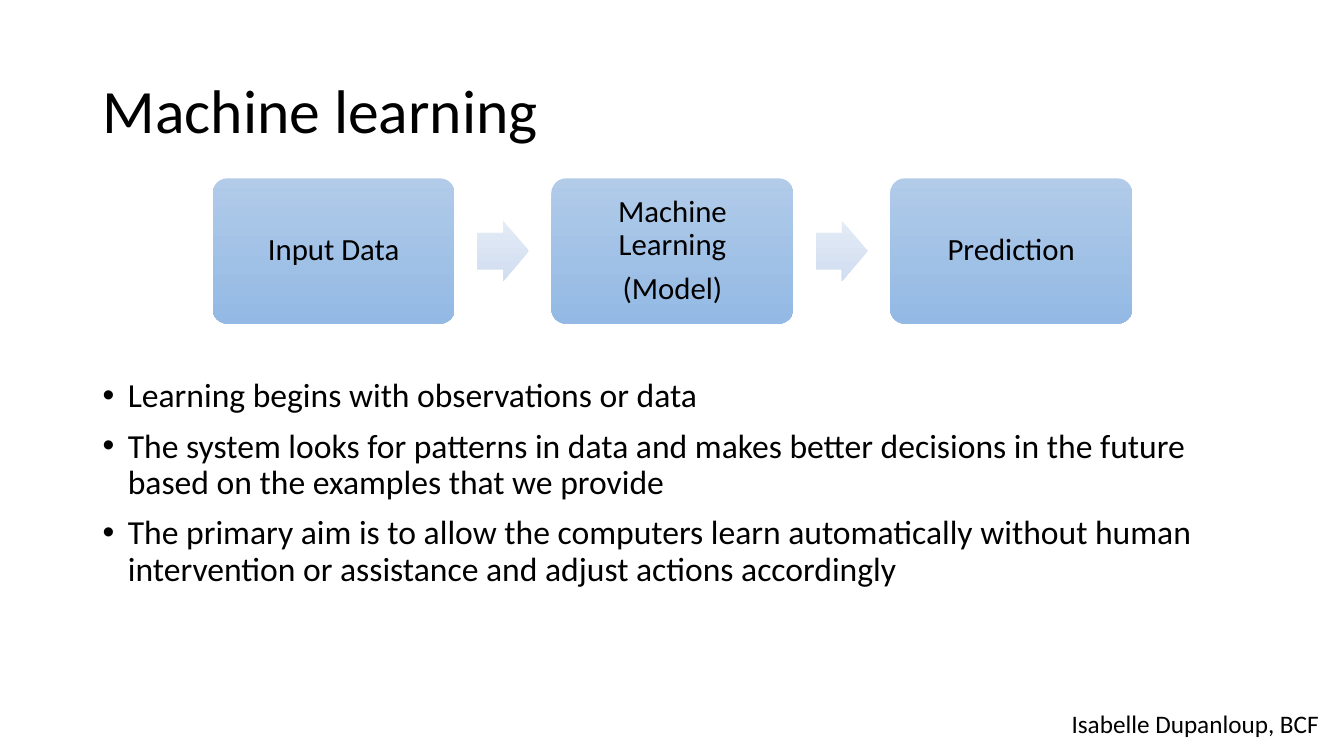
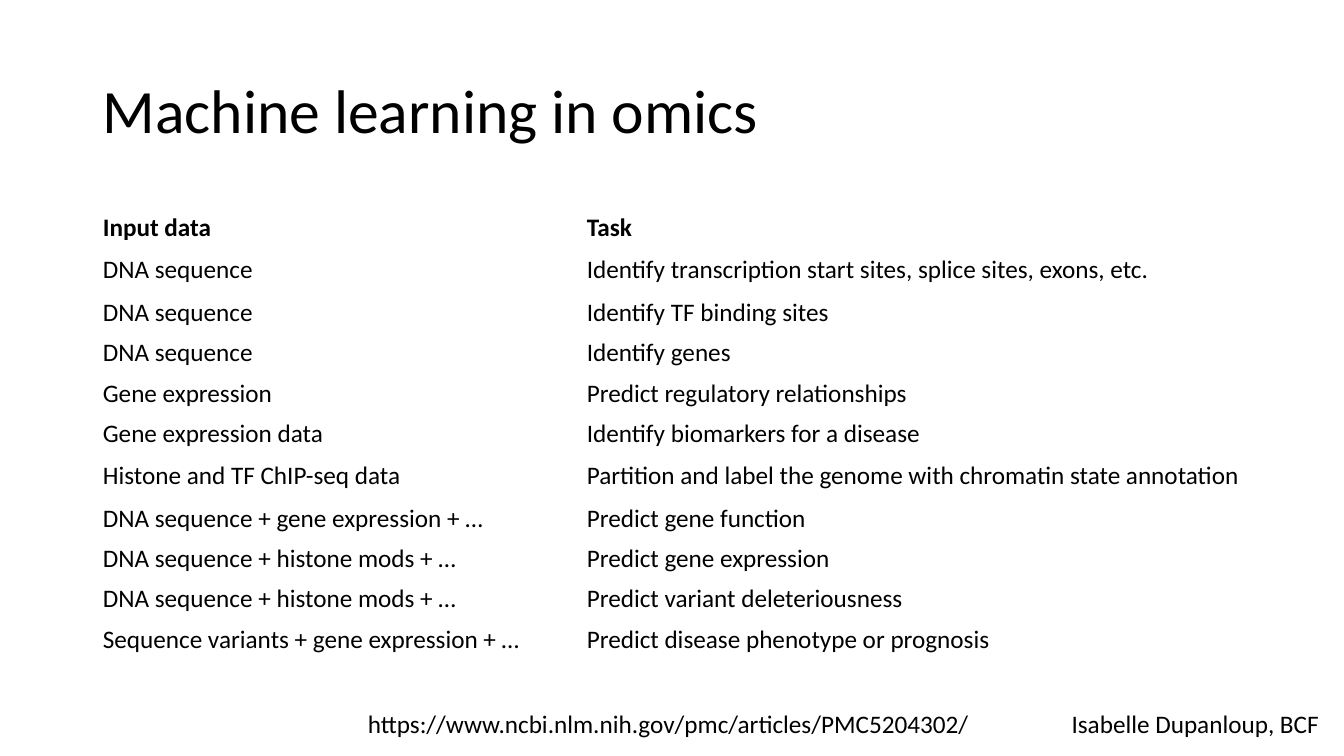
from pptx import Presentation
from pptx.dml.color import RGBColor
from pptx.enum.shapes import MSO_SHAPE
from pptx.enum.text import MSO_ANCHOR, PP_ALIGN
from pptx.oxml import parse_xml
from pptx.oxml.ns import nsdecls
from pptx.util import Inches, Pt

FONT = "Calibri"
BLACK = RGBColor(0x00, 0x00, 0x00)
BOX_TOP, BOX_BOTTOM = RGBColor(0xB1, 0xCB, 0xE9), RGBColor(0x93, 0xB9, 0xE4)
ARROW_TOP, ARROW_BOTTOM = RGBColor(0xE3, 0xEB, 0xF6), RGBColor(0xD0, 0xDE, 0xF1)
ROUND_RECT, RIGHT_ARROW = MSO_SHAPE.ROUNDED_RECTANGLE, MSO_SHAPE.RIGHT_ARROW
LEFT, CENTER = PP_ALIGN.LEFT, PP_ALIGN.CENTER
TOP, MIDDLE = MSO_ANCHOR.TOP, MSO_ANCHOR.MIDDLE

# Flow diagram geometry, in inches
FLOW_LEFT, FLOW_TOP = 2.11, 1.77
BOX_W, BOX_H, BOX_GAP = 2.4, 1.44, 0.96
ARROW_W, ARROW_H = 0.51, 0.6

STEPS = [["Input Data"], ["Machine Learning", "(Model)"], ["Prediction"]]
POINTS = [
    "Learning begins with observations or data",
    "The system looks for patterns in data and makes better decisions in the "
    "future based on the examples that we provide",
    "The primary aim is to allow the computers learn automatically without "
    "human intervention or assistance and adjust actions accordingly",
]
TASKS = [
    ("Input data", "Task"),
    ("DNA sequence", "Identify transcription start sites, splice sites, exons, etc."),
    ("DNA sequence", "Identify TF binding sites"),
    ("DNA sequence", "Identify genes"),
    ("Gene expression", "Predict regulatory relationships"),
    ("Gene expression data", "Identify biomarkers for a disease"),
    ("Histone and TF ChIP-seq data",
     "Partition and label the genome with chromatin state annotation"),
    ("DNA sequence + gene expression + …", "Predict gene function"),
    ("DNA sequence + histone mods + …", "Predict gene expression"),
    ("DNA sequence + histone mods + …", "Predict variant deleteriousness"),
    ("Sequence variants + gene expression + …",
     "Predict disease phenotype or prognosis"),
]
COL_WIDTHS = (4.8, 7.26)
ROW_H, TALL_ROW_H = 0.39, 0.44
TALL_ROWS = (1, 6)


def add_bullet(p):
    pPr = p._p.get_or_add_pPr()
    pPr.set("marL", str(Inches(0.25)))
    pPr.set("indent", str(Inches(-0.25)))
    pPr.append(parse_xml(f'<a:buFont {nsdecls("a")} typeface="Arial"/>'))
    pPr.append(parse_xml(f'<a:buChar {nsdecls("a")} char="•"/>'))


def write(tf, lines, size=18, bold=False, align=LEFT, spacing=1.0,
          before=0, after=0, bullet=False):
    """Fill a text frame, one paragraph per line."""
    for i, text in enumerate(lines):
        p = tf.paragraphs[0] if i == 0 else tf.add_paragraph()
        if bullet:
            add_bullet(p)
        p.alignment = align
        p.line_spacing = spacing
        p.space_before = Pt(before if i else 0)
        p.space_after = Pt(after)
        r = p.add_run()
        r.text = text
        r.font.name, r.font.size, r.font.bold = FONT, Pt(size), bold
        r.font.color.rgb = BLACK


def add_text(s, x, y, w, h, lines, anchor=TOP, wrap=True, **fmt):
    tf = s.shapes.add_textbox(Inches(x), Inches(y), Inches(w), Inches(h)).text_frame
    tf.word_wrap = wrap
    tf.vertical_anchor = anchor
    write(tf, lines, **fmt)


def add_gradient_shape(s, kind, x, y, w, h, adjustments, colors):
    sp = s.shapes.add_shape(kind, Inches(x), Inches(y), Inches(w), Inches(h))
    sp.shadow.inherit = False
    sp.line.fill.background()
    for i, value in enumerate(adjustments):
        sp.adjustments[i] = value
    sp.fill.gradient()
    sp.fill.gradient_angle = 270
    for stop, color in zip(sp.fill.gradient_stops, colors):
        stop.color.rgb = color
    return sp


def add_flow(s, steps):
    """Boxes at an equal pitch, with an arrow in each gap."""
    for i, lines in enumerate(steps):
        x = FLOW_LEFT + i * (BOX_W + BOX_GAP)
        if i:
            add_gradient_shape(
                s, RIGHT_ARROW, x - (BOX_GAP + ARROW_W) / 2,
                FLOW_TOP + (BOX_H - ARROW_H) / 2, ARROW_W, ARROW_H,
                (0.6, 0.5), (ARROW_TOP, ARROW_BOTTOM))
        sp = add_gradient_shape(s, ROUND_RECT, x, FLOW_TOP, BOX_W, BOX_H,
                                (0.1,), (BOX_TOP, BOX_BOTTOM))
        tf = sp.text_frame
        tf.word_wrap = True
        tf.vertical_anchor = MIDDLE
        tf.margin_left = tf.margin_right = Inches(0.13)
        tf.margin_top = tf.margin_bottom = Inches(0.13)
        write(tf, lines, size=22, align=CENTER, spacing=0.9, after=7.7)


def add_task_table(s, x, y, rows):
    heights = [TALL_ROW_H if i in TALL_ROWS else ROW_H for i in range(len(rows))]
    table = s.shapes.add_table(
        len(rows), len(COL_WIDTHS), Inches(x), Inches(y),
        Inches(sum(COL_WIDTHS)), Inches(sum(heights))).table
    table.first_row = table.horz_banding = False
    for column, width in zip(table.columns, COL_WIDTHS):
        column.width = Inches(width)
    for i, (row, height) in enumerate(zip(rows, heights)):
        table.rows[i].height = Inches(height)
        for j, text in enumerate(row):
            cell = table.cell(i, j)
            cell.fill.background()
            cell.vertical_anchor = MIDDLE
            write(cell.text_frame, [text], bold=i == 0)


def add_slide(prs, title):
    """Blank slide with the shared title and author footer."""
    s = prs.slides.add_slide(prs.slide_layouts[6])
    add_text(s, 10.38, 6.98, 2.95, 0.4, ["Isabelle Dupanloup, BCF"], align=CENTER)
    add_text(s, 0.92, 0.4, 11.5, 1.45, [title], anchor=MIDDLE, size=44, spacing=0.9)
    return s


def main():
    prs = Presentation()
    prs.slide_width, prs.slide_height = Inches(13.33), Inches(7.5)

    # Learning from data
    s = add_slide(prs, "Machine learning")
    add_text(s, 0.92, 3.71, 11.5, 3.05, POINTS, size=24, spacing=0.9,
             before=10, bullet=True)
    add_flow(s, STEPS)

    # Tasks in omics
    s = add_slide(prs, "Machine learning in omics")
    add_text(s, 3.55, 6.98, 6.23, 0.4,
             ["https://www.ncbi.nlm.nih.gov/pmc/articles/PMC5204302/"], wrap=False)
    add_task_table(s, 0.92, 2.06, TASKS)

    prs.save("out.pptx")


if __name__ == "__main__":
    main()
